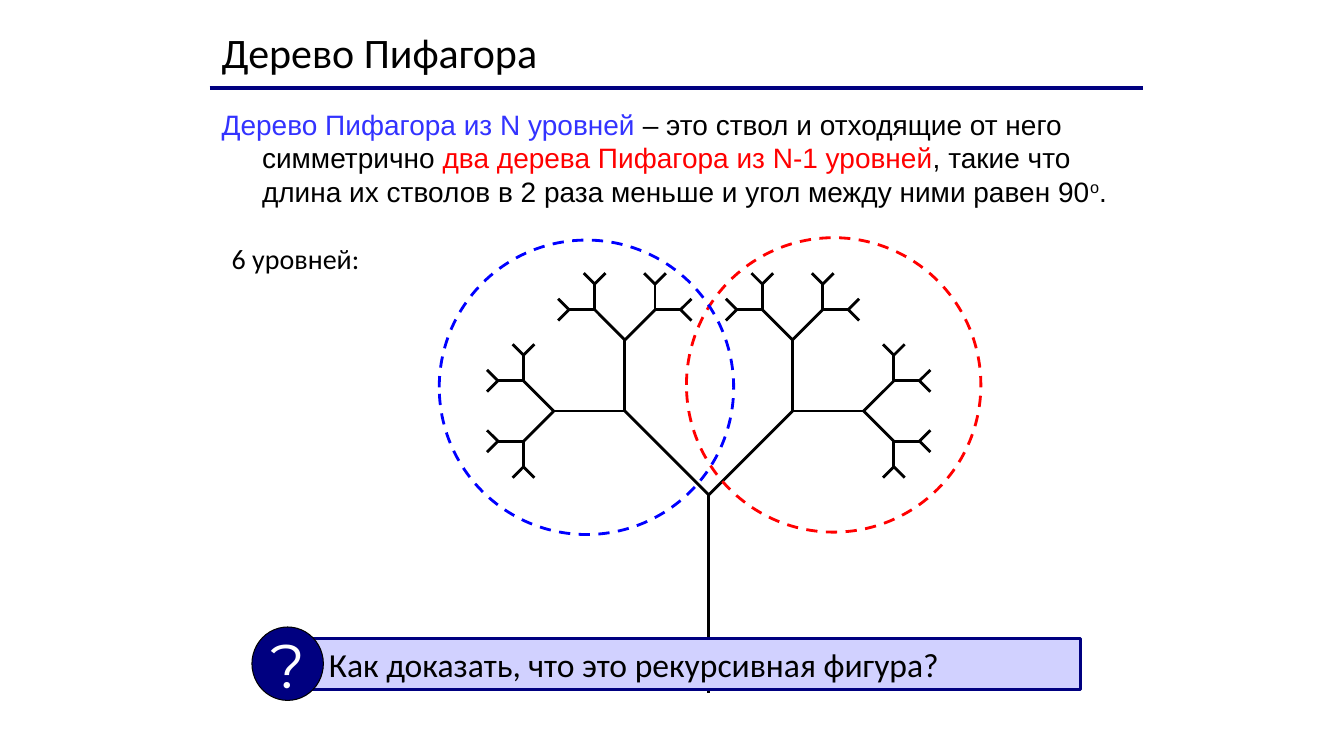
import math
import pptx
import pptx.util
import pptx.dml.color
import pptx.enum.dml
import pptx.enum.shapes
import pptx.enum.text
import pptx.oxml.ns
import lxml.etree

Cm, Pt = pptx.util.Cm, pptx.util.Pt
SHAPE = pptx.enum.shapes.MSO_SHAPE
ANCHOR = pptx.enum.text.MSO_ANCHOR
ALIGN = pptx.enum.text.PP_ALIGN
qn = pptx.oxml.ns.qn


def paint(target, color):
    """Solid colour for a fill, or for the fill of a line or font."""
    target.solid()
    target.fore_color.rgb = pptx.dml.color.RGBColor.from_string(color)


def add_run(paragraph, text, size, font, color):
    run = paragraph.add_run()
    run.text = text
    run.font.size = Pt(size)
    run.font.name = font
    paint(run.font.fill, color)
    return run


deck = pptx.Presentation()
deck.slide_width, deck.slide_height = Cm(33.87), Cm(19.05)
slide = deck.slides.add_slide(deck.slide_layouts[1])
shapes = slide.shapes

# Title
title = shapes.title
title.left, title.top, title.width, title.height = Cm(5.33), Cm(0.53), Cm(22.6), Cm(1.52)
title.text_frame.auto_size = pptx.enum.text.MSO_AUTO_SIZE.NONE
title.text_frame.vertical_anchor = ANCHOR.TOP
heading = title.text_frame.paragraphs[0]
heading.alignment = ALIGN.LEFT
add_run(heading, "Дерево Пифагора", 30, "Calibri", "000000")

# Definition with a hanging indent
definition = slide.placeholders[1]
definition.left, definition.top, definition.width, definition.height = (
    Cm(5.33), Cm(2.57), Cm(23.42), Cm(2.8))
definition.text_frame.auto_size = pptx.enum.text.MSO_AUTO_SIZE.NONE
sentence = definition.text_frame.paragraphs[0]
sentence.space_before = Pt(0)
indent = sentence._p.get_or_add_pPr()
indent.set("marL", str(Cm(1.02)))
indent.set("indent", str(-Cm(1.02)))
lxml.etree.SubElement(indent, qn("a:buNone"))
for text, color in [
    ("Дерево Пифагора из N уровней ", "3333FF"),
    ("– это ствол и отходящие от него симметрично ", "000000"),
    ("два дерева Пифагора из N-1 уровней", "FF0000"),
    (", такие что длина их стволов в 2 раза меньше и угол между ними равен 90", "000000"),
]:
    add_run(sentence, text, 20, "Arial", color)
degree = add_run(sentence, "o", 20, "Arial", "000000")
degree.font._element.set("baseline", "30000")
add_run(sentence, ".", 20, "Arial", "000000")

# Title rule and tree trunk
fork_x, fork_y, trunk_length = 17.86, 12.47, 4.98
for x1, y1, x2, y2, color, width in [
    (5.28, 2.22, 28.8, 2.22, "000080", 3),
    (fork_x, fork_y, fork_x, fork_y + trunk_length, "000000", 2),
]:
    line = shapes.add_connector(
        pptx.enum.shapes.MSO_CONNECTOR.STRAIGHT, Cm(x1), Cm(y1), Cm(x2), Cm(y2))
    paint(line.line.fill, color)
    line.line.width = Pt(width)
    lxml.etree.SubElement(line._element.spPr, qn("a:effectLst"))

# Branches: each fork turns 45 degrees both ways and shortens by 0.6
tips = [(fork_x, fork_y, 90)]
length = trunk_length
for level in range(2, 7):
    length *= 0.6
    next_tips = []
    for x, y, angle in tips:
        left, right = [
            (x + length * math.cos(math.radians(turned)),
             y - length * math.sin(math.radians(turned)), turned)
            for turned in (angle + 45, angle - 45)]
        outline = shapes.build_freeform(Cm(left[0]), Cm(left[1]))
        outline.add_line_segments(
            [(Cm(x), Cm(y)), (Cm(right[0]), Cm(right[1]))], close=False)
        fork = outline.convert_to_shape()
        fork.shadow.inherit = False
        fork.fill.background()
        paint(fork.line.fill, "000000")
        fork.line.width = Pt(2)
        next_tips += [left, right]
    tips = next_tips

# Level count
levels = shapes.add_textbox(Cm(5.59), Cm(5.97), Cm(3.76), Cm(1.12))
levels.text_frame.word_wrap = False
add_run(levels.text_frame.paragraphs[0], "6 уровней:", 20, "Calibri", "000000")

# Dashed circles around the two subtrees
for x, y, color in [(17.3, 5.99, "FF0000"), (11.07, 6.05, "0000FF")]:
    subtree = shapes.add_shape(SHAPE.OVAL, Cm(x), Cm(y), Cm(7.42), Cm(7.42))
    subtree.shadow.inherit = False
    subtree.fill.background()
    paint(subtree.line.fill, color)
    subtree.line.width = Pt(2)
    subtree.line.dash_style = pptx.enum.dml.MSO_LINE.DASH

# Question bar and its badge
for kind, x, y, w, h, fill, edge, width, text, size, font, color, align, inset in [
    (SHAPE.RECTANGLE, 7.65, 16.08, 19.58, 1.3, "D1D1FF", "000080", 2,
     "Как доказать, что это рекурсивная фигура?", 24, "Calibri", "000000", ALIGN.LEFT, 0.64),
    (SHAPE.OVAL, 6.35, 15.8, 1.8, 1.85, "000080", "000000", 0.75,
     "?", 44, "Montserrat", "FFFFFF", ALIGN.CENTER, 0.25),
]:
    part = shapes.add_shape(kind, Cm(x), Cm(y), Cm(w), Cm(h))
    part.shadow.inherit = False
    paint(part.fill, fill)
    paint(part.line.fill, edge)
    part.line.width = Pt(width)
    frame = part.text_frame
    frame.word_wrap = False
    frame.vertical_anchor = ANCHOR.MIDDLE
    frame.margin_left = Cm(inset)
    frame.paragraphs[0].alignment = align
    add_run(frame.paragraphs[0], text, size, font, color)

deck.save("out.pptx")
